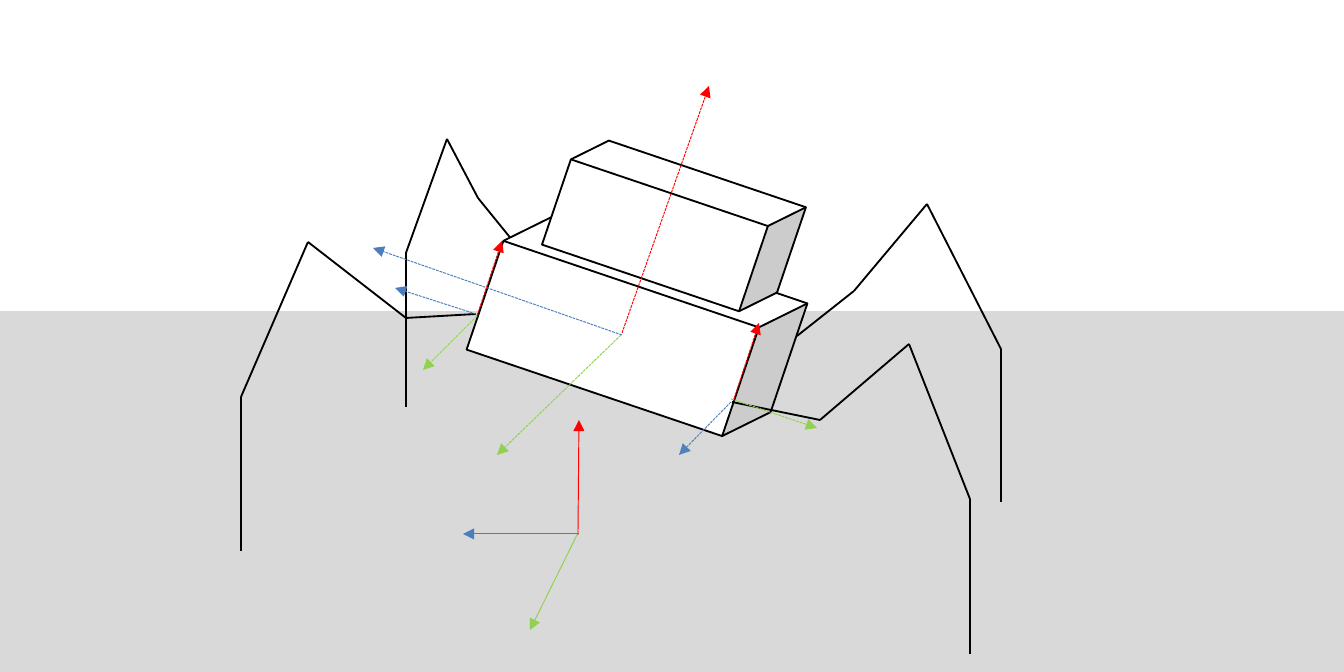
from dataclasses import dataclass
from itertools import pairwise

from lxml import etree
from pptx import Presentation
from pptx.dml.color import RGBColor
from pptx.enum import dml, shapes
from pptx.oxml import ns
from pptx.util import Pt


@dataclass(frozen=True)
class Theme:
    ground: str = "D9D9D9"
    body: str = "FFFFFF"
    ink: str = "000000"
    red: str = "FF0000"
    green: str = "92D050"
    blue: str = "4B7EBC"
    hip_blue: str = "4F81BD"
    ground_width: float = 2
    body_width: float = 1
    axis_width: float = 0.5


THEME = Theme()
EMU_PER_PX = 914400 / 134.4
TILT = 18.7

REAR_LEGS = [
    [(476, 314), (406, 318), (308, 242), (241, 397), (241, 551)],
    [(517, 246), (478, 198), (447, 139), (406, 253), (406, 407)],
    [(797, 336), (854, 291), (927, 204), (1001, 349), (1001, 502)],
]
FRONT_LEG = [(732, 402), (820, 420), (909, 344), (970, 499), (970, 654)]

WORLD_AXES = [
    (THEME.red, (578, 535), (579, 420)),
    (THEME.blue, (579, 534), (463, 534)),
    (THEME.green, (577, 535), (530, 630)),
]
LEFT_HIP_AXES = [
    (THEME.blue, (476, 314), (395, 288)),
    (THEME.green, (477, 316), (423, 370)),
    (THEME.red, (477, 316), (502, 241)),
]
RIGHT_HIP_AXES = [
    (THEME.green, (731, 399), (817, 428)),
    (THEME.red, (734, 399), (759, 323)),
    (THEME.hip_blue, (731, 402), (679, 455)),
]
BODY_AXES = [
    (THEME.red, (622, 333), (709, 86)),
    (THEME.blue, (622, 335), (373, 248)),
    (THEME.green, (621, 335), (497, 455)),
]


def px(n):
    return round(n * EMU_PER_PX)


def add_solid(group, kind, box, fill, line, width, rotation=0):
    sp = group.shapes.add_shape(kind, *map(px, box))
    sp.shadow.inherit = False
    sp.rotation = rotation
    sp.fill.solid()
    sp.fill.fore_color.rgb = RGBColor.from_string(fill)
    sp.line.color.rgb = RGBColor.from_string(line)
    sp.line.width = Pt(width)
    return sp


def add_cube(group, box):
    return add_solid(group, shapes.MSO_SHAPE.CUBE, box, THEME.body, THEME.ink,
                     THEME.body_width, TILT)


def add_line(group, start, end, color, width):
    cxn = group.shapes.add_connector(
        shapes.MSO_CONNECTOR.STRAIGHT, *map(px, (*start, *end)))
    cxn.line.color.rgb = RGBColor.from_string(color)
    cxn.line.width = Pt(width)
    etree.SubElement(cxn._element.spPr, ns.qn("a:effectLst"))
    return cxn


def add_leg(group, joints):
    for start, end in pairwise(joints):
        add_line(group, start, end, THEME.ink, THEME.body_width)


def add_axes(group, axes, dashed=True):
    for color, origin, tip in axes:
        cxn = add_line(group, origin, tip, color, THEME.axis_width)
        if dashed:
            cxn.line.dash_style = dml.MSO_LINE.SQUARE_DOT
        ln = cxn.line._get_or_add_ln()
        etree.SubElement(ln, ns.qn("a:tailEnd"), type="triangle")


def main():
    prs = Presentation()
    prs.slide_width, prs.slide_height = px(1344), px(672)
    s = prs.slides.add_slide(prs.slide_layouts[6])
    robot = s.shapes.add_group_shape()

    ground = add_solid(robot, shapes.MSO_SHAPE.PARALLELOGRAM,
                       (-469, 313, 2232, 450), THEME.ground, THEME.ground,
                       THEME.ground_width)
    ground.adjustments[0] = 0.91

    for joints in REAR_LEGS:
        add_leg(robot, joints)
    add_cube(robot, (483, 250, 308, 153))
    add_axes(robot, WORLD_AXES, dashed=False)
    add_leg(robot, FRONT_LEG)
    add_cube(robot, (555, 166, 238, 120))
    for axes in (LEFT_HIP_AXES, RIGHT_HIP_AXES, BODY_AXES):
        add_axes(robot, axes)

    prs.save("out.pptx")


if __name__ == "__main__":
    main()
